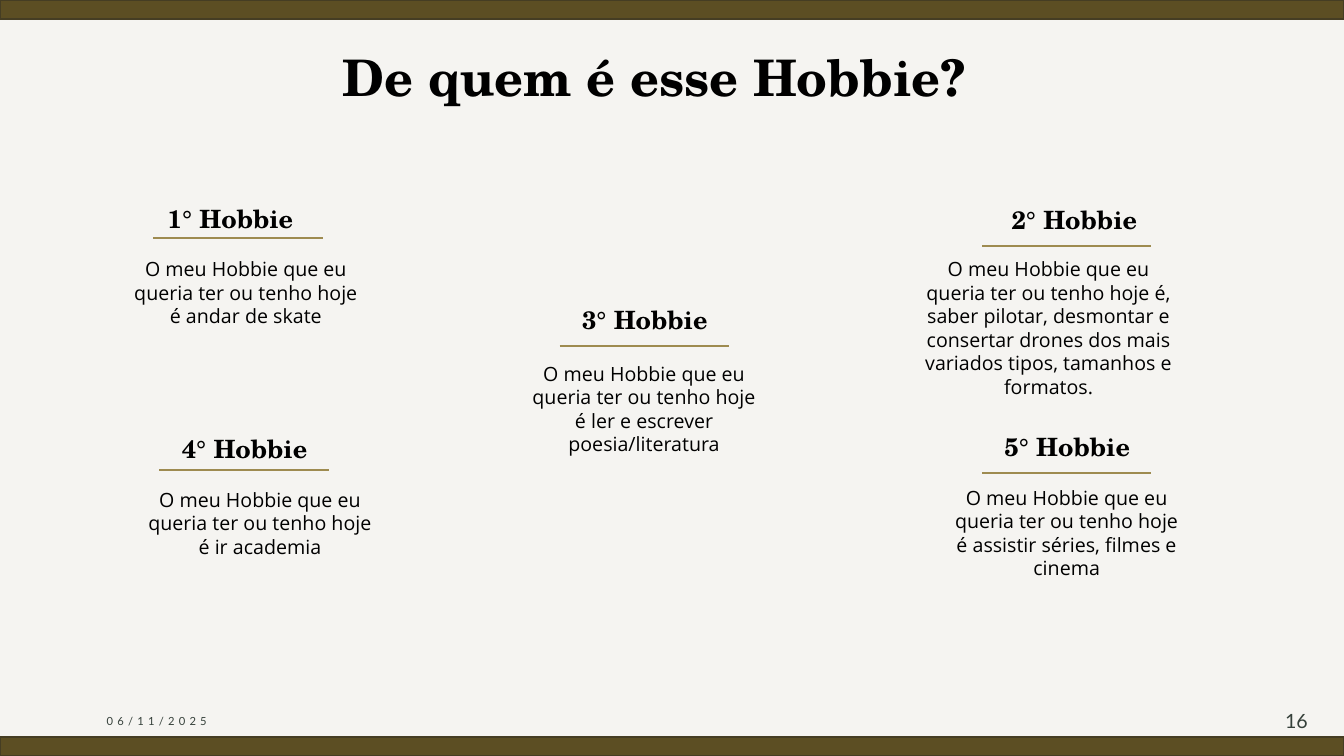
"""Build the hobby guessing slide on a grid of 100 columns by 100 rows."""
from lxml import etree
from pptx import Presentation, util as u
from pptx.dml.color import RGBColor
from pptx.enum import shapes, text
from pptx.oxml.ns import qn

COLORS = {"veil": "C0B7A5", "bar": "5C4E23", "edge": "453D23",
          "rule": "9E8B50", "ink": "000000", "footer": "35403A"}
FORMATS = {
    "title": {"size": u.Pt(36), "name": "TeX Gyre Schola", "bold": True},
    "heading": {"size": u.Pt(18), "name": "TeX Gyre Schola", "bold": True},
    "body": {"size": u.Pt(14), "name": "Open Sans"},
    "date": {"size": u.Pt(8), "name": "Lato"},
    "number": {"size": u.Pt(14), "name": "Lato"},
}
LEFT, CENTER, RIGHT = text.PP_ALIGN.LEFT, text.PP_ALIGN.CENTER, text.PP_ALIGN.RIGHT
TOP, MIDDLE = text.MSO_ANCHOR.TOP, text.MSO_ANCHOR.MIDDLE

prs = Presentation()
prs.slide_width, prs.slide_height = u.Inches(13.33), u.Inches(7.5)
s = prs.slides.add_slide(prs.slide_layouts[6])
COL, ROW = prs.slide_width / 100, prs.slide_height / 100


def grid(x, y, w, h):
    return int(x * COL), int(y * ROW), int(w * COL), int(h * ROW)


def add_text(words, box, style, color="ink", align=CENTER, anchor=TOP):
    tf = s.shapes.add_textbox(*grid(*box)).text_frame
    tf.word_wrap, tf.vertical_anchor = True, anchor
    p = tf.paragraphs[0]
    p.alignment = align
    r = p.add_run()
    r.text = words
    for key, value in FORMATS[style].items():
        setattr(r.font, key, value)
    r.font.color.rgb = RGBColor.from_string(COLORS[color])
    return r


for box, fill, edge in [((0, 0, 100, 100), "veil", None),
                        ((0, 0, 100, 2.5), "bar", "edge"),
                        ((0, 97.5, 100, 2.5), "bar", "edge")]:
    sp = s.shapes.add_shape(shapes.MSO_SHAPE.RECTANGLE, *grid(*box))
    sp.shadow.inherit = False
    sp.fill.solid()
    sp.fill.fore_color.rgb = RGBColor.from_string(COLORS[fill])
    if edge:
        sp.line.color.rgb = RGBColor.from_string(COLORS[edge])
        sp.line.width = u.Pt(1.5)
    else:
        sp.line.fill.background()
        clr = sp.fill._xPr.find(".//" + qn("a:srgbClr"))
        etree.SubElement(clr, qn("a:alpha"), val="15000")

r = add_text("06/11/2025", (7.2, 92.67, 22.5, 5.33), "date", "footer", LEFT, MIDDLE)
r.font._element.set("spc", "300")
add_text("16", (93.77, 92.67, 4.28, 5.33), "number", "footer", RIGHT, MIDDLE)
add_text("De quem é esse Hobbie?", (23.56, 5.47, 50.26, 9.47), "title")

INTRO = "O meu Hobbie que eu queria ter ou tenho hoje "
HOBBIES = [
    ((10.28, 26.27), (11.4, 31.47), (9.15, 33.33), 18.3, 3, "é andar de skate"),
    ((73.07, 26.4), (73.07, 32.53), (67.59, 33.33), 20.86, 6,
     "é, saber pilotar, desmontar e consertar drones dos mais variados tipos, "
     "tamanhos e formatos."),
    ((41.11, 39.6), (41.64, 45.73), (38.78, 47.2), 18.3, 4,
     "é ler e escrever poesia/literatura"),
    ((11.33, 56.67), (11.85, 62.13), (10.2, 63.87), 18.3, 3, "é ir academia"),
    ((72.54, 56.4), (73.07, 62.53), (70.22, 63.6), 18.3, 4,
     "é assistir séries, filmes e cinema"),
]
for n, (head, rule, body, width, lines, hobby) in enumerate(HOBBIES, 1):
    add_text(f"{n}° Hobbie", (*head, 13.73, 5.33), "heading")
    x, y, length, _ = grid(*rule, 12.6, 0)
    cx = s.shapes.add_connector(shapes.MSO_CONNECTOR.STRAIGHT, x, y, x + length, y)
    cx.line.color.rgb = RGBColor.from_string(COLORS["rule"])
    cx.line.width = u.Pt(1.5)
    etree.SubElement(cx._element.spPr, qn("a:effectLst"))
    add_text(INTRO + hobby, (*body, width, 1.33 + 3.13 * lines), "body")

prs.save("out.pptx")
